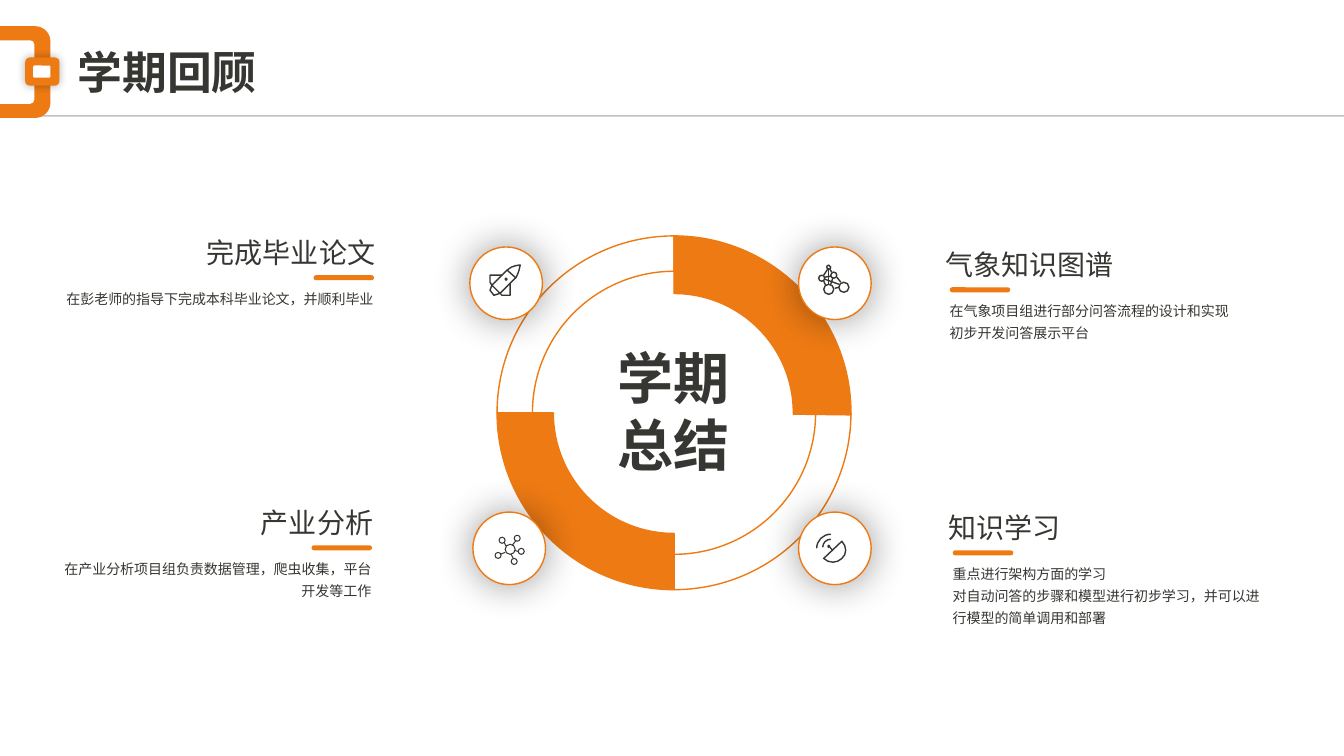
from math import cos, radians, sin

from lxml.etree import SubElement
from pptx import Presentation
from pptx.dml.color import RGBColor
from pptx.enum.shapes import MSO_CONNECTOR as Connector, MSO_SHAPE as Shape
from pptx.enum.text import MSO_ANCHOR as Anchor, PP_ALIGN as Align
from pptx.oxml.ns import qn
from pptx.util import Inches, Pt

ORANGE, INK, WHITE = "EE7A13", "363632", "FFFFFF"
SANS = "Noto Sans CJK SC"
WIDTH, HEIGHT = 13.33, 7.5

TITLE, CENTRE = "学期回顾", "学期总结"
TOPICS = [
    ("气象知识图谱", ["在气象项目组进行部分问答流程的设计和实现", "初步开发问答展示平台"],
     Align.LEFT, 9.28, 2.41, 0.52),
    ("知识学习", ["重点进行架构方面的学习", "对自动问答的步骤和模型进行初步学习，并可以进行模型的简单调用和部署"],
     Align.LEFT, 9.31, 5.02, 0.74),
    ("完成毕业论文", ["在彭老师的指导下完成本科毕业论文，并顺利毕业"], Align.RIGHT, 1.52, 2.29, 0.3),
    ("产业分析", ["在产业分析项目组负责数据管理，爬虫收集，平台开发等工作"], Align.RIGHT, 1.5, 4.97, 0.52),
]
RING = (4.93, 2.34, 3.51, 3.51)
QUARTERS = [(180, 162, 0.1, WHITE), (0, 162, 0.1, WHITE),
            (270, 162, 0.159, ORANGE), (90, 162.403, 0.163, ORANGE)]
BADGES = [(4.66, 2.45), (7.92, 2.45), (4.69, 5.08), (7.92, 5.08)]
BADGE_SIZE = 0.72


def arc(x, y, radius, start=0, quarters=4):
    """Return a start point and one cubic curve for each clockwise quarter turn."""
    def at(angle, pull=0):
        c, s = cos(radians(angle)), sin(radians(angle))
        return x + radius * (c - pull * s), y + radius * (s + pull * c)
    turns = [start + 90 * i for i in range(quarters)]
    return [at(start)] + [at(a, 0.55) + at(a + 90, -0.55) + at(a + 90) for a in turns]


def bracket(right, top, bottom, radius):
    """Return a block from the slide's left edge with rounded right corners."""
    return [(0, top), *arc(right - radius, top + radius, radius, -90, 1),
            *arc(right - radius, bottom - radius, radius, 0, 1), (0, bottom), (0, top)]


ROCKET = [
    [(5.16, 2.63), (5.15, 2.7, 5.12, 2.75, 5.12, 2.75), (4.96, 2.91), (4.9, 2.93), (4.86, 2.88),
     (4.88, 2.83), (5.03, 2.68), (5.08, 2.63, 5.16, 2.63, 5.16, 2.63)],
    [(5.03, 2.68), (5.12, 2.76)],
    [(4.98, 2.73), (4.86, 2.73), (4.86, 2.8), (4.88, 2.83)],
    [(4.88, 2.83), (4.96, 2.91), (4.98, 2.93), (5.06, 2.93), (5.06, 2.81)],
    arc(5.02, 2.77, 0.01),
]
MOLECULE = [
    *[arc(*node) for node in [(8.22, 2.65, 0.02), (8.15, 2.76, 0.03), (8.22, 2.87, 0.05),
                              (8.27, 2.73, 0.03), (8.37, 2.85, 0.05)]],
    [(8.32, 2.85), (8.28, 2.86)], [(8.18, 2.75), (8.24, 2.74)], [(8.24, 2.82), (8.26, 2.76)],
    [(8.19, 2.83), (8.17, 2.79)], [(8.32, 2.82), (8.18, 2.77)], [(8.21, 2.67), (8.17, 2.73)],
    [(8.34, 2.8), (8.3, 2.75)], [(8.22, 2.82), (8.22, 2.67)], [(8.23, 2.67), (8.25, 2.7)],
]
NETWORK = [
    arc(5.06, 5.45, 0.05),
    *[arc(x, y, 0.03) for x, y in [(5.13, 5.34), (4.98, 5.36), (4.94, 5.51), (5.1, 5.57), (5.17, 5.47)]],
    [(5.12, 5.36), (5.08, 5.41)], [(5.02, 5.42), (5, 5.38)], [(4.96, 5.5), (5.01, 5.48)],
    [(5.09, 5.54), (5.07, 5.5)], [(5.1, 5.46), (5.14, 5.47)],
]
ANTENNA = [
    [(8.26, 5.46), (8.23, 5.43)], arc(8.22, 5.42, 0.01),
    arc(8.24, 5.43, 0.08, 180, 1), arc(8.24, 5.44, 0.14, 180, 1),
    [(8.35, 5.37), (8.4, 5.42, 8.4, 5.5, 8.35, 5.54), (8.3, 5.59, 8.22, 5.59, 8.17, 5.54), (8.35, 5.37)],
]
ICONS = [(ROCKET, 1), (MOLECULE, 1), (NETWORK, 0.75), (ANTENNA, 1)]


def color(value):
    return RGBColor.from_string(value)


def paint(shape, fill=None, line=None, weight=1, shadow=None):
    shape.shadow.inherit = False
    if fill:
        shape.fill.solid()
        shape.fill.fore_color.rgb = color(fill)
    else:
        shape.fill.background()
    if line:
        shape.line.color.rgb = color(line)
        shape.line.width = Pt(weight)
    else:
        shape.line.fill.background()
    if shadow:
        opacity, blur = shadow
        effects = shape._element.spPr.find(qn("a:effectLst"))
        outer = SubElement(effects, qn("a:outerShdw"), blurRad=str(Pt(blur)), dist="0", dir="0",
                           algn="ctr", rotWithShape="0")
        black = SubElement(outer, qn("a:srgbClr"), val="000000")
        SubElement(black, qn("a:alpha"), val=str(opacity * 1000))


def add_preset(slide, kind, box, adjust=(), rotation=0, **style):
    shape = slide.shapes.add_shape(kind, *map(Inches, box))
    for i, value in enumerate(adjust):
        shape.adjustments[i] = value
    shape.rotation = rotation
    paint(shape, **style)


def add_outline(slide, strokes, **style):
    ends = [tuple(map(Inches, step[-2:])) for stroke in strokes for step in stroke]
    builder = slide.shapes.build_freeform(*ends[0], scale=1.0)
    builder.add_line_segments(ends[1:], close=False)
    shape = builder.convert_to_shape()
    outline = shape._element.spPr.find(".//" + qn("a:path"))
    for step in list(outline):
        outline.remove(step)
    for stroke in strokes:
        for i, step in enumerate(stroke):
            kind = "a:moveTo" if i == 0 else "a:cubicBezTo" if len(step) == 6 else "a:lnTo"
            command = SubElement(outline, qn(kind))
            for x, y in zip(step[::2], step[1::2]):
                SubElement(command, qn("a:pt"), x=str(Inches(x) - shape.left), y=str(Inches(y) - shape.top))
        if all(abs(a - b) < 0.001 for a, b in zip(stroke[0], stroke[-1][-2:])):
            SubElement(outline, qn("a:close"))
    paint(shape, **style)


def add_text(slide, box, lines, size, font=SANS, bold=False, align=Align.LEFT,
             spacing=None, anchor=Anchor.TOP):
    frame = slide.shapes.add_textbox(*map(Inches, box)).text_frame
    frame.word_wrap = True
    frame.vertical_anchor = anchor
    for i, line in enumerate(lines):
        paragraph = frame.add_paragraph() if i else frame.paragraphs[0]
        paragraph.alignment = align
        paragraph.line_spacing = spacing
        run = paragraph.add_run()
        run.text = line
        run.font.name, run.font.size, run.font.bold = font, Pt(size), bold
        run.font.color.rgb = color(INK)
        SubElement(run.font._element, qn("a:ea"), typeface=font)


def add_header(slide):
    rule = slide.shapes.add_connector(Connector.STRAIGHT, *map(Inches, (0.25, 1.15, WIDTH, 1.15)))
    rule.line.color.rgb = color(INK)
    rule.line.width = Pt(1)
    SubElement(rule._element.spPr.find(".//" + qn("a:srgbClr")), qn("a:alpha"), val="31000")
    SubElement(rule._element.spPr, qn("a:effectLst"))
    add_outline(slide, [bracket(0.5, 0.26, 1.17, 0.15)], fill=ORANGE)
    add_outline(slide, [bracket(0.34, 0.4, 1.03, 0.04)], fill=WHITE)
    add_preset(slide, Shape.ROUNDED_RECTANGLE, (0.25, 0.57, 0.34, 0.28), fill=ORANGE, shadow=(30, 6))
    add_preset(slide, Shape.ROUNDED_RECTANGLE, (0.33, 0.65, 0.17, 0.12), [0.104], fill=WHITE)
    add_text(slide, (0.67, 0.39, 11.9, 0.64), [TITLE], 32, "Arial", True, anchor=Anchor.MIDDLE)


def add_wheel(slide):
    for rotation, end, thickness, fill in QUARTERS:
        add_preset(slide, Shape.BLOCK_ARC, RING, (107.977, end, thickness), rotation,
                   fill=fill, line=ORANGE)
    for x, y in BADGES:
        add_preset(slide, Shape.OVAL, (x, y, BADGE_SIZE, BADGE_SIZE), fill=WHITE, line=ORANGE,
                   shadow=(40, 28))
    add_text(slide, (5.84, 3.36, 1.68, 1.45), [CENTRE], 40, bold=True, align=Align.CENTER)


def add_topic(slide, heading, details, align, x, y, detail_height):
    left_aligned = align == Align.LEFT
    detail_x, bar_x = (x + 0.04, x + 0.14) if left_aligned else (x - 1.04, x + 1.59)
    add_text(slide, (x, y, 2.3, 0.44), [heading], 20, align=align)
    add_text(slide, (detail_x, y + 0.49, 3.32, detail_height), details, 10, align=align, spacing=1.3)
    add_preset(slide, Shape.ROUNDED_RECTANGLE, (bar_x, y + 0.44, 0.6, 0.05), [0.5], fill=ORANGE)


def main():
    deck = Presentation()
    deck.slide_width, deck.slide_height = Inches(WIDTH), Inches(HEIGHT)
    slide = deck.slides.add_slide(deck.slide_layouts[6])
    add_header(slide)
    add_wheel(slide)
    for topic in TOPICS:
        add_topic(slide, *topic)
    for strokes, weight in ICONS:
        add_outline(slide, strokes, line=INK, weight=weight)
    deck.save("out.pptx")


if __name__ == "__main__":
    main()
